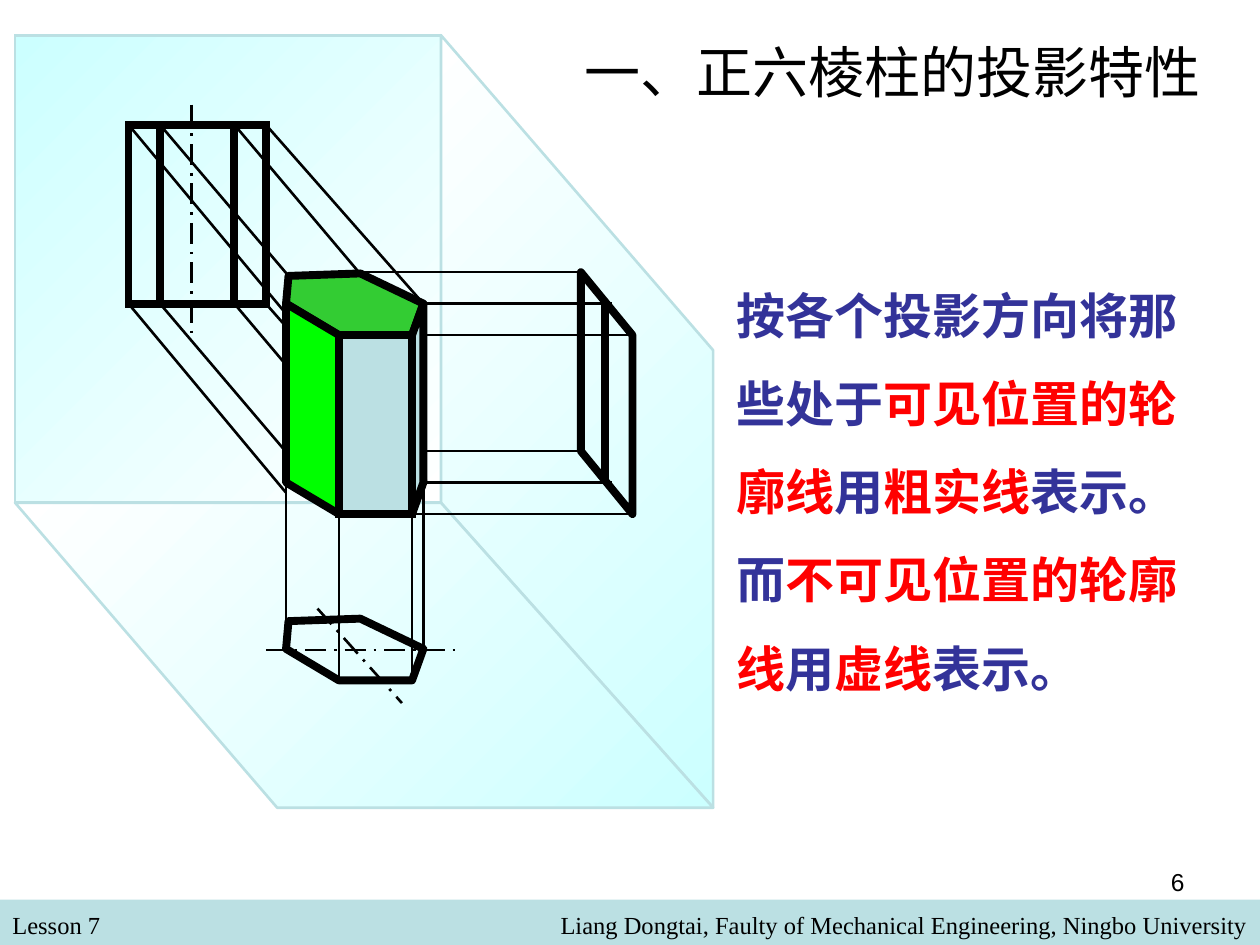
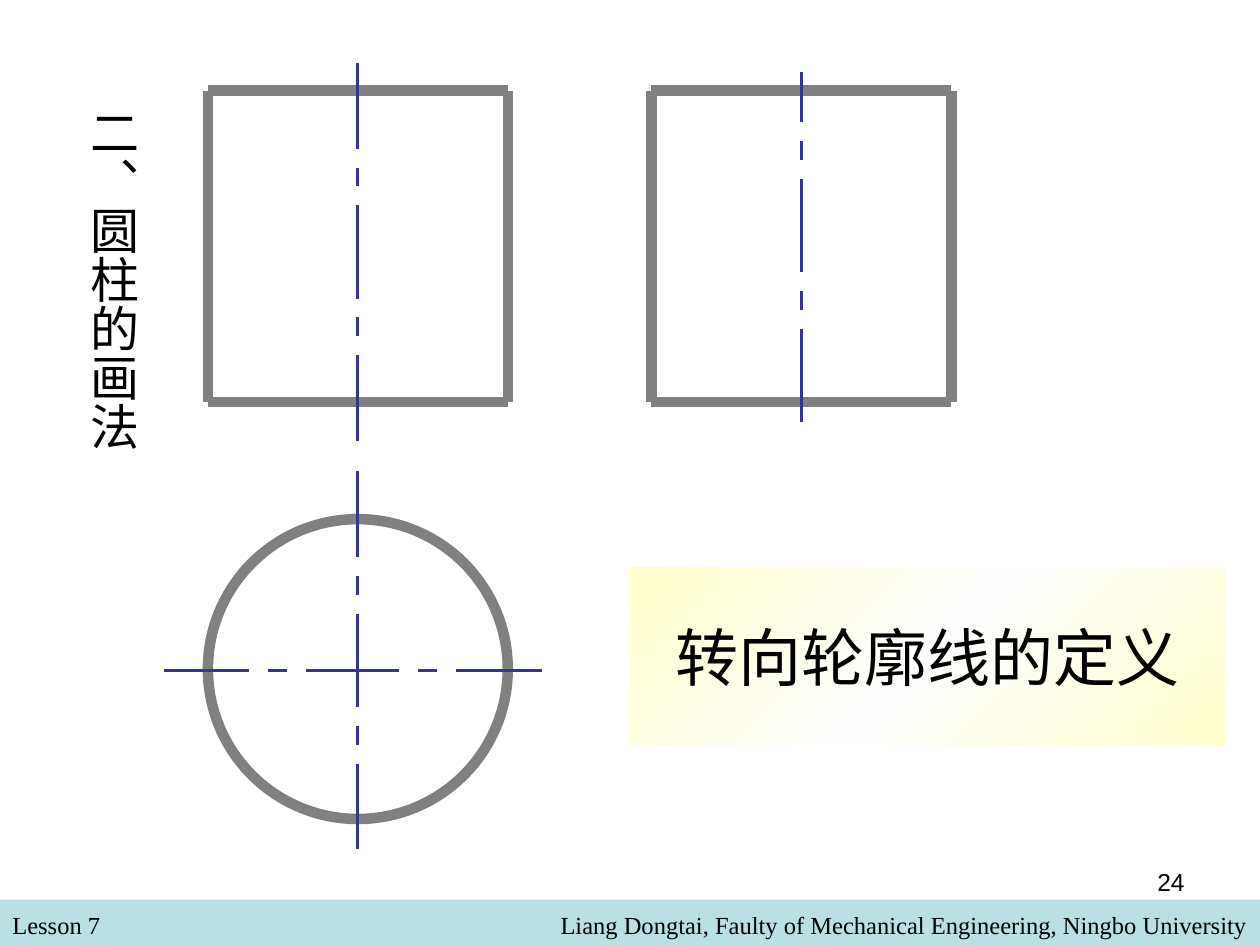
import copy
import pptx
import pptx.util
import pptx.dml.color
import pptx.enum.dml
import pptx.enum.shapes
import pptx.enum.text
import pptx.oxml.ns
from lxml import etree

Inches = pptx.util.Inches
RGBColor = pptx.dml.color.RGBColor
RECTANGLE = pptx.enum.shapes.MSO_SHAPE.RECTANGLE
OVAL = pptx.enum.shapes.MSO_SHAPE.OVAL
ALIGN = pptx.enum.text.PP_ALIGN
ANCHOR = pptx.enum.text.MSO_ANCHOR
CHAIN = pptx.enum.dml.MSO_LINE.LONG_DASH_DOT
qn = pptx.oxml.ns.qn

BLACK = RGBColor(0x00, 0x00, 0x00)
WHITE = RGBColor(0xFF, 0xFF, 0xFF)
PALE_BLUE = RGBColor(0xBB, 0xE0, 0xE3)
PALE_CYAN = RGBColor(0xCC, 0xFF, 0xFF)
TOP_GREEN = RGBColor(0x33, 0xCC, 0x33)
SIDE_GREEN = RGBColor(0x00, 0xFF, 0x00)
NAVY = RGBColor(0x33, 0x33, 0x99)
RED = RGBColor(0xFF, 0x00, 0x00)
GRAY = RGBColor(0x80, 0x80, 0x80)
PALE_YELLOW = RGBColor(0xFF, 0xFF, 0xCC)
NEAR_WHITE = RGBColor(0xFE, 0xFE, 0xFE)
THIN, THICK, HEAVY = 1.5, 4.5, 6


def draw(slide, points, color=BLACK, width=THIN, fill=None, dash=None, preset=None):
    corners = [(Inches(x), Inches(y)) for x, y in points]
    (left, top), (right, bottom) = corners[0], corners[-1]
    if preset is not None:
        shape = slide.shapes.add_shape(preset, left, top, right - left, bottom - top)
    elif len(corners) == 2:
        straight = pptx.enum.shapes.MSO_CONNECTOR.STRAIGHT
        shape = slide.shapes.add_connector(straight, left, top, right, bottom)
    else:
        builder = slide.shapes.build_freeform(left, top)
        builder.add_line_segments(corners[1:], close=True)
        shape = builder.convert_to_shape()

    properties = shape._element.spPr
    if preset is not None or len(corners) > 2:
        if fill is None:
            shape.fill.background()
        elif isinstance(fill, RGBColor):
            shape.fill.solid()
            shape.fill.fore_color.rgb = fill
        else:
            shape.fill.gradient()
            shape.fill.gradient_angle = 135
            stop_list = properties.find(qn("a:gradFill")).find(qn("a:gsLst"))
            while len(stop_list) < len(fill):
                stop_list.append(copy.deepcopy(stop_list[0]))
            for index, stop in enumerate(shape.fill.gradient_stops):
                stop.color.rgb = fill[index]
                stop.position = index / (len(fill) - 1)

    if color is None:
        shape.line.fill.background()
    else:
        shape.line.color.rgb = color
        shape.line.width = pptx.util.Pt(width)
        if dash is not None:
            shape.line.dash_style = dash
        join = "a:miter" if preset == RECTANGLE else "a:round"
        etree.SubElement(properties.find(qn("a:ln")), qn(join))
    etree.SubElement(properties, qn("a:effectLst"))
    return shape


def write(shape, runs, size, font="Arial", align=ALIGN.LEFT, bold=False):
    frame = shape.text_frame
    frame.word_wrap = True
    paragraph = frame.paragraphs[0]
    paragraph.alignment = align
    for text, color in runs:
        run = paragraph.add_run()
        run.text = text
        run.font.size = pptx.util.Pt(size)
        run.font.name = font
        run.font.bold = bold
        run.font.color.rgb = color
    return frame


presentation = pptx.Presentation()
presentation.slide_width = Inches(10)
presentation.slide_height = Inches(7.5)

slides = []
for number in ("6", "24"):
    slide = presentation.slides.add_slide(presentation.slide_layouts[6])
    slides.append(slide)
    draw(slide, [(0, 7.14), (10, 7.5)], None, fill=PALE_BLUE, preset=RECTANGLE)
    for text, left, top, width, height, font, align in [
        ("Lesson 7", 0, 7.17, 4.83, 0.34, "Times New Roman", ALIGN.LEFT),
        ("Liang Dongtai, Faulty of Mechanical Engineering, Ningbo University",
         1.83, 7.17, 8.17, 0.34, "Times New Roman", ALIGN.RIGHT),
        (number, 7.17, 6.83, 2.33, 0.52, "Arial", ALIGN.RIGHT),
    ]:
        box = slide.shapes.add_textbox(Inches(left), Inches(top), Inches(width), Inches(height))
        write(box, [(text, BLACK)], 14, font, align)
prism_slide, cylinder_slide = slides

draw(prism_slide, [(0.12, 0.28), (3.5, 3.99)], PALE_BLUE,
     fill=(WHITE, PALE_CYAN), preset=RECTANGLE)
for wall in (
    [(3.5, 0.28), (5.66, 2.78), (5.66, 6.41), (3.5, 3.99)],
    [(5.66, 6.41), (2.2, 6.41), (0.12, 3.99), (3.5, 3.99)],
):
    draw(prism_slide, wall, PALE_BLUE, fill=(PALE_CYAN, WHITE))

title = prism_slide.shapes.add_textbox(Inches(4.5), Inches(0.25), Inches(5.17), Inches(0.92))
write(title, [("一、正六棱柱的投影特性", BLACK)], 32, align=ALIGN.CENTER)

prism_height = 1.42
for start, end, y in [
    (2.86, 4.61, 2.16), (3.36, 4.86, 2.41), (3.27, 5.02, 2.66),
    (3.36, 4.61, 3.58), (3.36, 4.86, 3.83), (3.27, 5.02, 4.08),
]:
    draw(prism_slide, [(start, y), (end, y)])
draw(prism_slide, [(4.61, 2.16), (4.61, 3.58), (5.02, 4.08), (5.02, 2.66)], width=THICK)
draw(prism_slide, [(4.8, 2.42), (4.8, 3.83)], width=THICK)

for front_x, prism_x, upper_y, lower_y in [
    (1.02, 2.27, 2.49, 3.91), (1.27, 2.69, 2.66, 4.08),
    (1.86, 3.27, 2.66, 4.08), (2.11, 3.36, 2.41, 3.83),
]:
    draw(prism_slide, [(front_x, 0.99), (prism_x, upper_y)])
    draw(prism_slide, [(front_x, 0.99 + prism_height), (prism_x, lower_y)])
draw(prism_slide, [(1.02, 0.99), (2.11, 2.41)], width=THICK, preset=RECTANGLE)
for edge_x in (1.27, 1.86):
    draw(prism_slide, [(edge_x, 0.99), (edge_x, 2.41)], width=THICK)
draw(prism_slide, [(1.52, 0.83), (1.52, 2.66)], dash=CHAIN)

for x, start, end in [(2.27, 3.83, 5.16), (2.69, 4.08, 5.41), (3.27, 3.99, 5.41), (3.36, 3.83, 5.16)]:
    draw(prism_slide, [(x, start), (x, end)])
hexagon = [(2.27, 2.41), (2.69, 2.66), (3.27, 2.66), (3.36, 2.41), (2.86, 2.17), (2.29, 2.19)]
for drop, fill in [(2.74, None), (1.41, None), (0, TOP_GREEN)]:
    draw(prism_slide, [(x, y + drop) for x, y in hexagon], width=THICK, fill=fill)
    if drop == 2.74:
        draw(prism_slide, [(2.52, 4.83), (3.19, 5.58)], dash=CHAIN)
        draw(prism_slide, [(2.11, 5.16), (3.61, 5.16)], dash=CHAIN)
draw(prism_slide, [(2.27, 2.41), (2.27, 3.83), (2.69, 4.08), (2.69, 2.66)],
     width=THICK, fill=SIDE_GREEN)
draw(prism_slide, [(2.69, 2.66), (3.27, 4.08)], width=THICK, fill=PALE_BLUE, preset=RECTANGLE)
draw(prism_slide, [(3.27, 2.66), (3.36, 2.41), (3.36, 3.83), (3.27, 4.08)],
     width=THICK, fill=PALE_BLUE)

explanation = prism_slide.shapes.add_textbox(Inches(5.75), Inches(1.23), Inches(4.05), Inches(5.1))
frame = write(explanation, [
    ("按各个投影方向将那些处于", NAVY), ("可见位置的轮廓线", RED), ("用", NAVY),
    ("粗实线", RED), ("表示。而", NAVY), ("不可见位置的轮廓线", RED), ("用", NAVY),
    ("虚线", RED), ("表示。", NAVY),
], 28, bold=True)
frame.vertical_anchor = ANCHOR.MIDDLE
frame.paragraphs[0].line_spacing = 1.5

draw(cylinder_slide, [(1.65, 4.12), (4.03, 6.5)], GRAY, HEAVY, preset=OVAL)
view_width, view_top, view_bottom = 2.38, 0.72, 3.19
for left in (1.65, 5.17):
    right = left + view_width
    for y in (view_bottom, view_top):
        draw(cylinder_slide, [(left, y), (right, y)], GRAY, HEAVY)
    for x in (left, right):
        draw(cylinder_slide, [(x, view_top), (x, view_bottom)], GRAY, HEAVY)

dash_gap = 0.15
centre_dashes = (0.68, 0.15, 0.74, 0.15, 0.68)
side_dashes = (0.4, 0.15, 0.74, 0.15, 0.74)
for x, y, across, dashes in [
    (6.36, 0.57, False, side_dashes), (2.84, 0.5, False, centre_dashes),
    (1.3, 5.32, True, centre_dashes), (2.84, 3.74, False, centre_dashes),
]:
    for length in dashes:
        end = (x + length, y) if across else (x, y + length)
        draw(cylinder_slide, [(x, y), end], NAVY)
        if across:
            x += length + dash_gap
        else:
            y += length + dash_gap

heading = cylinder_slide.shapes.add_textbox(Inches(0.52), Inches(0.76), Inches(0.66), Inches(3.15))
frame = write(heading, [("二、圆柱的画法", BLACK)], 28)
frame.margin_left = frame.margin_right = Inches(0.05)
frame.margin_top = frame.margin_bottom = Inches(0.1)
frame._txBody.bodyPr.set("vert", "eaVert")

definition = draw(cylinder_slide, [(5, 4.5), (9.73, 5.92)], None,
                  fill=(PALE_YELLOW, NEAR_WHITE, PALE_YELLOW), preset=RECTANGLE)
frame = write(definition, [("转向轮廓线的定义", BLACK)], 36, align=ALIGN.CENTER)
frame.vertical_anchor = ANCHOR.MIDDLE
frame.word_wrap = False

presentation.save("out.pptx")
